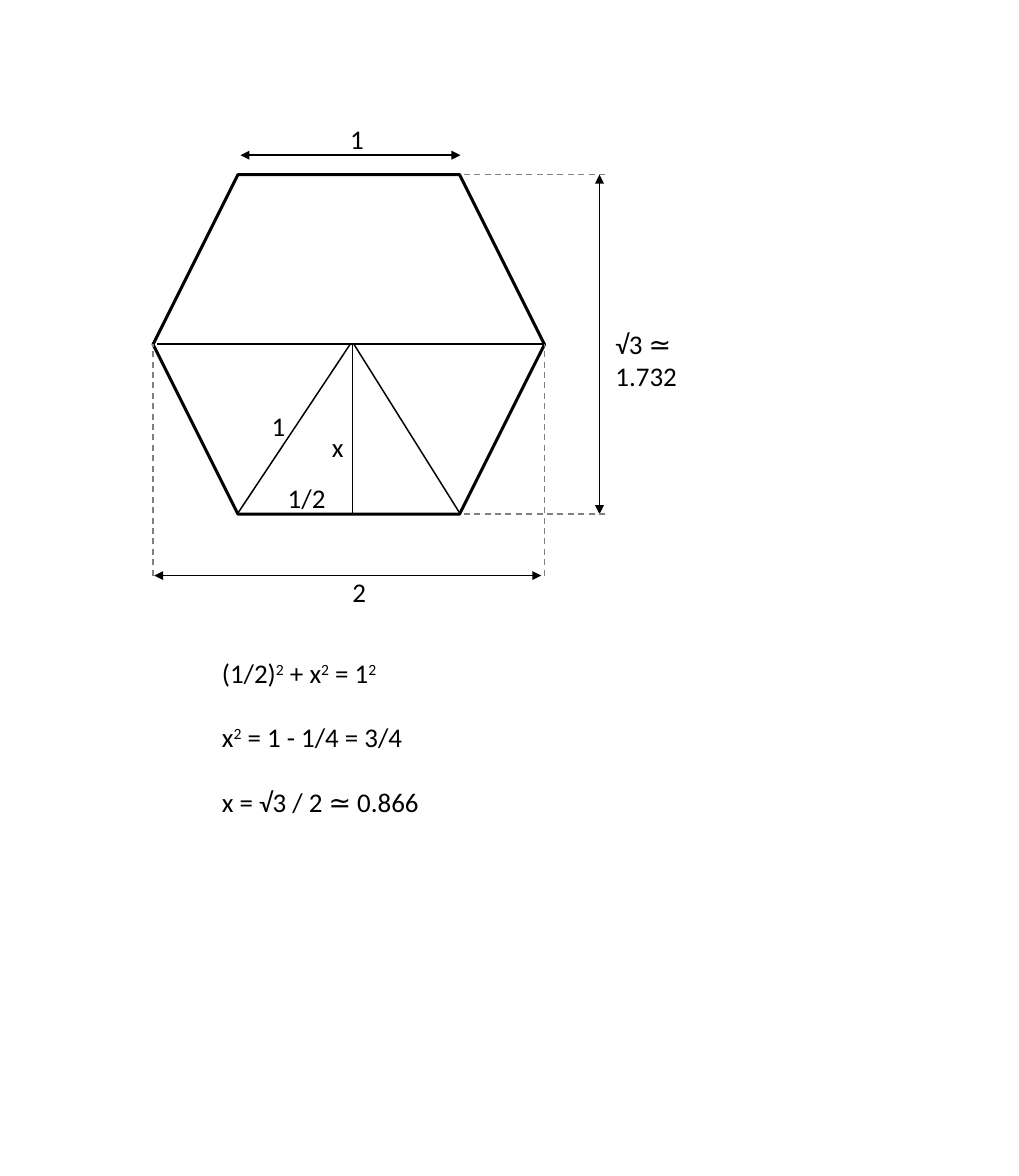
"""Build a slide that derives the height of a regular hexagon with unit sides."""
from lxml import etree
from pptx import Presentation
from pptx import util as u
from pptx.dml.color import RGBColor
from pptx.enum import dml, shapes, text
from pptx.oxml.ns import qn

COLORS = {"ink": "000000", "guide": "808080"}
FONT, SIZE = "Calibri", 18
FORMULA_GAP = 21.5

LEFT, RIGHT, TOP, BOTTOM = 1.42, 5.05, 1.62, 4.77
BASE_LEFT, BASE_RIGHT = 2.2, 4.27
MIDDLE, CENTER = 3.19, 3.27
WIDTH_Y, HEIGHT_X, GUIDE_X = 5.34, 5.56, 5.61

INNER_LINES = [
    ((1.46, MIDDLE), (RIGHT, MIDDLE)),
    ((BASE_LEFT, BOTTOM), (3.25, MIDDLE)),
    ((BASE_RIGHT, BOTTOM), (3.28, MIDDLE)),
    ((CENTER, BOTTOM), (CENTER, MIDDLE)),
]
DIMENSIONS = [
    ((2.23, 1.44), (BASE_RIGHT, 1.44)),
    ((HEIGHT_X, BOTTOM), (HEIGHT_X, TOP)),
    ((1.43, WIDTH_Y), (5.02, WIDTH_Y)),
]
GUIDES = [((x, WIDTH_Y), (x, MIDDLE)) for x in (LEFT, RIGHT)]
GUIDES += [((GUIDE_X, y), (BASE_RIGHT, y)) for y in (TOP, BOTTOM)]

LABELS = [
    ("2", 3.17, 5.29, 0.33),
    ("1/2", 2.57, 4.42, 0.56),
    ("1", 2.42, 3.75, 0.33),
    ("x", 2.98, 3.95, 0.31),
    ("1", 3.15, 1.09, 0.33),
]
HEIGHT_LABEL = ("√3 ≃ 1.732", 5.61, 2.99, 1.34)
FORMULAS = [
    [("(1/2)", "2"), (" + x", "2"), (" = 1", "2")],
    [("x", "2"), (" = 1 - 1/4 = 3/4", "")],
    [("x = √3 / 2 ≃ 0.866", "")],
]


def style_line(line, color, width):
    line.color.rgb = RGBColor.from_string(COLORS[color])
    line.width = u.Pt(width)


def add_line(slide, start, end, color="ink", dashed=False, arrows=False):
    ends = [u.Inches(value) for value in (*start, *end)]
    connector = slide.shapes.add_connector(shapes.MSO_CONNECTOR.STRAIGHT, *ends)
    style_line(connector.line, color, 1)
    if dashed:
        connector.line.dash_style = dml.MSO_LINE.DASH
    if arrows:
        for tag in ("a:headEnd", "a:tailEnd"):
            etree.SubElement(connector.line._get_or_add_ln(), qn(tag), type="triangle")
    etree.SubElement(connector._element.spPr, qn("a:effectLst"))


def add_run(paragraph, words, raised=False):
    run = paragraph.add_run()
    run.text = words
    run.font.name, run.font.size = FONT, u.Pt(SIZE)
    run.font.color.rgb = RGBColor.from_string(COLORS["ink"])
    if raised:
        run._r.get_or_add_rPr().set("baseline", "30000")


def add_text(slide, paragraphs, left, top, width, height=0.4):
    box = slide.shapes.add_textbox(*map(u.Inches, (left, top, width, height)))
    frame = box.text_frame
    frame.word_wrap = False
    frame.auto_size = text.MSO_AUTO_SIZE.SHAPE_TO_FIT_TEXT
    for index, terms in enumerate(paragraphs):
        paragraph = frame.add_paragraph() if index else frame.paragraphs[0]
        if index:
            paragraph.space_before = u.Pt(FORMULA_GAP)
        for words, power in terms:
            add_run(paragraph, words)
            if power:
                add_run(paragraph, power, raised=True)
    return frame


def main():
    deck = Presentation()
    deck.slide_width, deck.slide_height = u.Inches(9.45), u.Inches(10.91)
    slide = deck.slides.add_slide(deck.slide_layouts[6])

    bounds = map(u.Inches, (LEFT, TOP, RIGHT - LEFT, BOTTOM - TOP))
    hexagon = slide.shapes.add_shape(shapes.MSO_SHAPE.HEXAGON, *bounds)
    hexagon.shadow.inherit = False
    hexagon.fill.background()
    style_line(hexagon.line, "ink", 2)

    for start, end in INNER_LINES:
        add_line(slide, start, end)
    for start, end in DIMENSIONS:
        add_line(slide, start, end, arrows=True)
    for words, *place in LABELS:
        add_text(slide, [[(words, "")]], *place)
    add_text(slide, FORMULAS, 1.96, 6.04, 2.03, 1.62)

    words, *place = HEIGHT_LABEL
    height_frame = add_text(slide, [[(words, "")]], *place)
    height_frame.word_wrap = True
    height_frame.auto_size = text.MSO_AUTO_SIZE.NONE
    height_frame.margin_right = u.Inches(0.3)

    for start, end in GUIDES:
        add_line(slide, start, end, "guide", dashed=True)
    deck.save("out.pptx")


if __name__ == "__main__":
    main()
